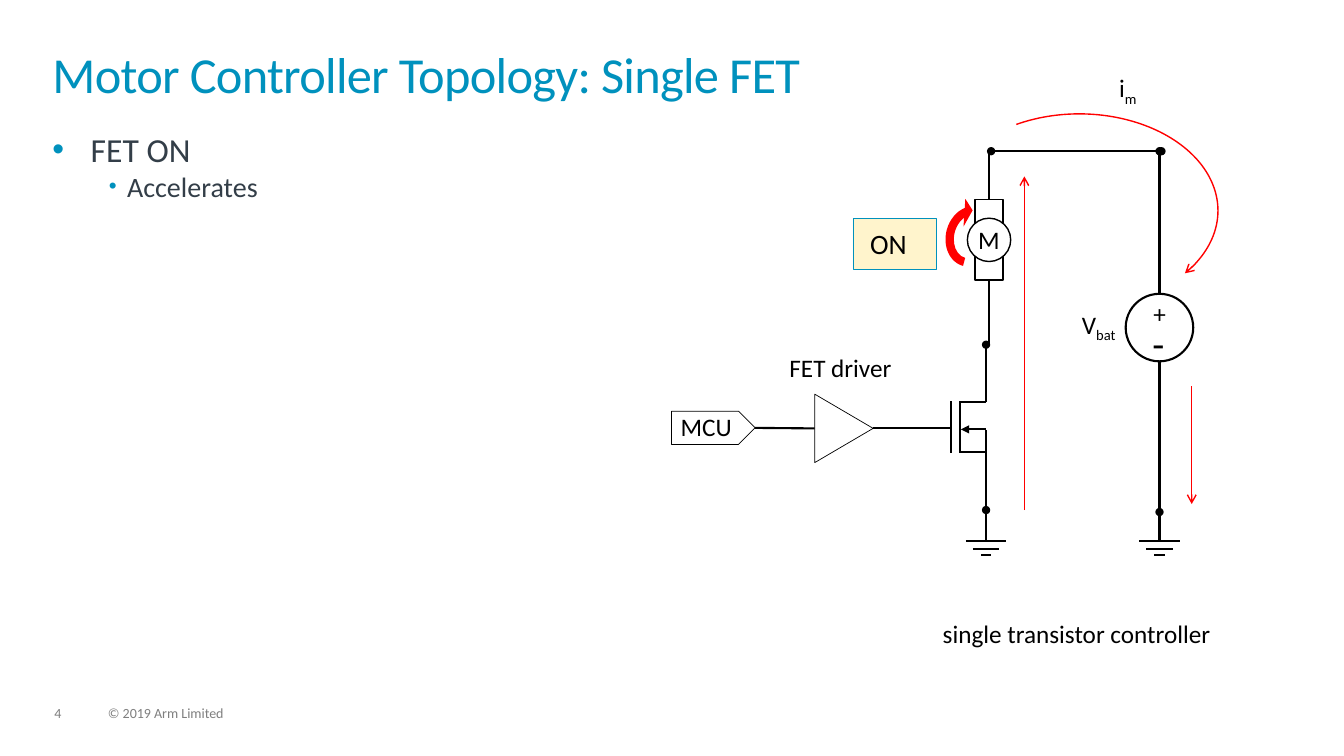
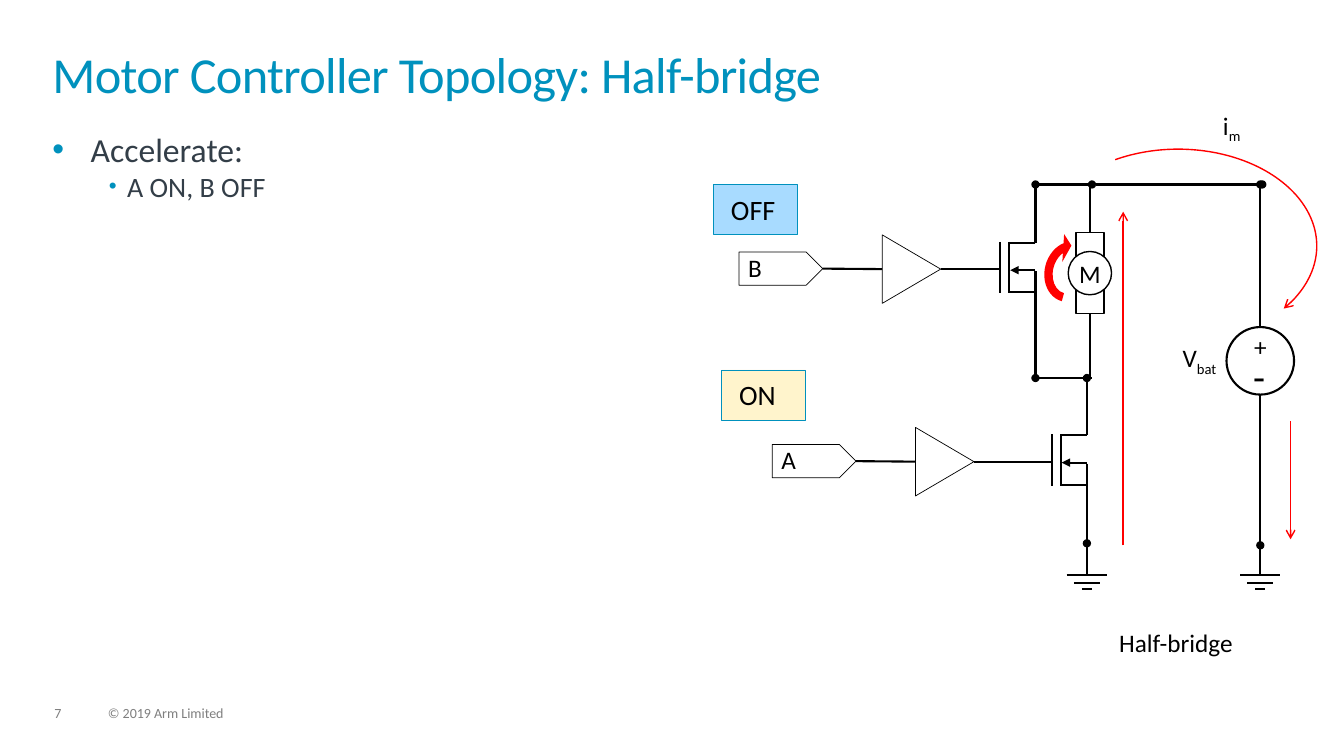
from lxml.etree import SubElement
from pptx import Presentation
from pptx.dml.color import RGBColor
from pptx.enum.shapes import MSO_CONNECTOR, MSO_SHAPE
from pptx.enum.text import MSO_ANCHOR, MSO_AUTO_SIZE, PP_ALIGN
from pptx.oxml.ns import qn
from pptx.util import Inches, Pt

COLORS = {
    "title": "0091BD",
    "body": "333E48",
    "footer": "7F7F7F",
    "ink": "000000",
    "paper": "FFFFFF",
    "current": "FF0000",
    "on": "FFF4CC",
    "off": "A8DBFF",
}
FONT = "Calibri"
COPYRIGHT = "© 2019 Arm Limited"
TITLE_AND_CONTENT = 1
# level: text size, left margin, hanging indent, bullet size in percent
BULLETS = {0: (24, 0.38, 0.38, 100), 1: (20, 0.74, 0.18, 80)}


def rgb(name):
    return RGBColor.from_string(COLORS[name])


def place(shape, left, top, width, height):
    shape.left, shape.top = Inches(left), Inches(top)
    shape.width, shape.height = Inches(width), Inches(height)


def prepare_frame(shape, anchor=MSO_ANCHOR.TOP, inset_left=0, inset_top=0):
    frame = shape.text_frame
    frame.word_wrap = True
    frame.auto_size = MSO_AUTO_SIZE.NONE
    frame.vertical_anchor = anchor
    frame.margin_left, frame.margin_top = Inches(inset_left), Inches(inset_top)
    frame.margin_right = frame.margin_bottom = 0
    return frame


def write(paragraph, words, size=18, color="ink", align=PP_ALIGN.LEFT,
          line_spacing=1.0, tracking=None, subscript=None):
    paragraph.alignment = align
    paragraph.line_spacing = line_spacing
    paragraph.space_before = Pt(0)
    for part in filter(None, (words, subscript)):
        run = paragraph.add_run()
        run.text = part
        run.font.name = FONT
        run.font.size = Pt(size)
        run.font.color.rgb = rgb(color)
        properties = run.font._element
        if tracking is not None:
            properties.set("spc", str(int(tracking * 100)))
        if part is subscript:
            properties.set("baseline", "-25000")


def label(slide, words, left, top, width=0.5, height=0.3, **style):
    box = slide.shapes.add_textbox(0, 0, 0, 0)
    place(box, left, top, width, height)
    write(prepare_frame(box).paragraphs[0], words, **style)


def add_bullet(paragraph, level):
    _, margin, hanging, percent = BULLETS[level]
    properties = paragraph._p.get_or_add_pPr()
    properties.set("marL", str(Inches(margin)))
    properties.set("indent", str(-Inches(hanging)))
    tint = SubElement(properties, qn("a:buClr"))
    SubElement(tint, qn("a:srgbClr"), val=COLORS["title"])
    SubElement(properties, qn("a:buSzPct"), val=str(percent * 1000))
    SubElement(properties, qn("a:buFont"), typeface="Arial")
    SubElement(properties, qn("a:buChar"), char="•")


def add_slide(deck, title, points, number):
    slide = deck.slides.add_slide(deck.slide_layouts[TITLE_AND_CONTENT])
    heading, body = slide.shapes.title, slide.placeholders[1]
    place(heading, 0.52, 0.52, 12.28, 0.72)
    write(prepare_frame(heading).paragraphs[0], title, size=36, color="title",
          line_spacing=0.85, tracking=-0.5)
    place(body, 0.52, 1.28, 12.28, 4.47)
    frame = prepare_frame(body)
    for level, point in enumerate(points):
        paragraph = frame.add_paragraph() if level else frame.paragraphs[0]
        paragraph.level = level
        add_bullet(paragraph, level)
        write(paragraph, point, size=BULLETS[level][0], color="body")
    for words, left, width in ((str(number), 0.54, 0.34), (COPYRIGHT, 1.07, 1.71)):
        label(slide, words, left, 7.01, width, 0.15, size=10, color="footer",
              line_spacing=0.9)
    return slide


def style_line(line, color, weight, head=None, tail=None):
    line.color.rgb = rgb(color)
    line.width = Pt(weight)
    for tag, kind in (("a:headEnd", head), ("a:tailEnd", tail)):
        if kind:
            SubElement(line._get_or_add_ln(), qn(tag), type=kind)


def wire(slide, start, end, color="ink", weight=1.5, head=None, tail=None):
    connector = slide.shapes.add_connector(
        MSO_CONNECTOR.STRAIGHT, *(Inches(value) for value in (*start, *end)))
    style_line(connector.line, color, weight, head, tail)
    SubElement(connector._element.spPr, qn("a:effectLst"))
    return connector


def outline(slide, kind, left, top, width, height, fill=None, line="ink",
            weight=1.0, tail=None, rotation=0, adjustments=()):
    shape = slide.shapes.add_shape(kind, 0, 0, 0, 0)
    place(shape, left, top, width, height)
    shape.rotation = rotation
    shape.shadow.inherit = False
    for index, value in enumerate(adjustments):
        shape.adjustments[index] = value
    if fill:
        shape.fill.solid()
        shape.fill.fore_color.rgb = rgb(fill)
    else:
        shape.fill.background()
    if line:
        style_line(shape.line, line, weight, tail=tail)
    else:
        shape.line.fill.background()
    return shape


def state_badge(slide, state, left, top):
    badge = outline(slide, MSO_SHAPE.RECTANGLE, left, top, 0.83, 0.5,
                    fill=state.lower(), line="title", weight=0.5)
    frame = prepare_frame(badge, inset_left=0.17, inset_top=0.08)
    write(frame.paragraphs[0], state, size=20)


def motor(slide, x, y, rail_y, junction_y):
    """Motor centred on x, y, wired up to the rail and down to the junction."""
    brushes = [outline(slide, MSO_SHAPE.RECTANGLE, x - 0.14, top, 0.28, 0.3, fill="paper")
               for top in (y - 0.4, y + 0.1)]
    rotor = outline(slide, MSO_SHAPE.OVAL, x - 0.215, y - 0.215, 0.43, 0.43, fill="paper")
    write(prepare_frame(rotor, MSO_ANCHOR.MIDDLE).paragraphs[0], "M",
          align=PP_ALIGN.CENTER)
    wire(slide, (x, rail_y), (x, y - 0.4)).end_connect(brushes[0], 0)
    wire(slide, (x, y + 0.4), (x, junction_y)).begin_connect(brushes[1], 2)


def transistor(slide, x, y, drain_y, source_y):
    """FET with its drain and source on x and its gate at height y."""
    channel, gate = x - 0.26, x - 0.35
    wire(slide, (x, y + 0.02), (x, source_y), tail="oval")
    wire(slide, (x, y - 0.26), (x, drain_y), tail="oval")
    wire(slide, (x, y + 0.01), (channel + 0.01, y + 0.01), tail="triangle")
    for stub_y in (y - 0.26, y + 0.23):
        wire(slide, (x, stub_y), (channel, stub_y))
    for bar_x in (channel, gate):
        wire(slide, (bar_x, y - 0.27), (bar_x, y + 0.24))


def gate_drive(slide, signal, tip_x, gate_x, y):
    """Input tag and driver triangle whose tip is wired to the gate."""
    tag = outline(slide, MSO_SHAPE.PENTAGON, tip_x - 2, y - 0.17, 0.83, 0.33, weight=0.5)
    label(slide, signal, tip_x - 1.91, y - 0.17, 0.75)
    outline(slide, MSO_SHAPE.ISOSCELES_TRIANGLE, tip_x - 0.63, y - 0.29, 0.68, 0.58,
            weight=0.5, rotation=90)
    wire(slide, (tip_x - 1.17, y), (tip_x - 0.58, y)).begin_connect(tag, 3)
    wire(slide, (tip_x, y), (gate_x, y))


def ground(slide, x, y):
    wire(slide, (x, y), (x, y + 0.29))
    for half_width, drop in ((0.2, 0.29), (0.13, 0.37), (0.05, 0.43)):
        wire(slide, (x - half_width, y + drop), (x + half_width, y + drop))


def battery(slide, x, y, rail_y, ground_y):
    outline(slide, MSO_SHAPE.OVAL, x - 0.335, y - 0.335, 0.67, 0.67, weight=1.5)
    label(slide, "+", x - 0.06, y - 0.29)
    label(slide, "-", x - 0.07, y - 0.08, height=0.47, size=28)
    label(slide, "V", x - 0.77, y - 0.18, subscript="bat")
    wire(slide, (x, y - 0.34), (x, rail_y), tail="oval")
    wire(slide, (x, y + 0.33), (x, ground_y), tail="oval")
    ground(slide, x, ground_y)


def current_loop(slide, left, top, label_at):
    """Red arrows for the motor current and the sense of rotation."""
    label(slide, "i", *label_at, subscript="m")
    for x, start, end in ((0.83, 3.93, 0.62), (2.49, 2.7, 3.87)):
        wire(slide, (left + x, top + start), (left + x, top + end),
             color="current", weight=1, tail="arrow")
    outline(slide, MSO_SHAPE.ARC, left, top, 2.75, 1.92, line="current",
            tail="arrow", adjustments=(140.32, 18.41))
    outline(slide, MSO_SHAPE.CIRCULAR_ARROW, left - 0.1, top + 0.87, 0.8, 0.69,
            fill="current", line=None, rotation=285,
            adjustments=(0.12, 11.42, 197.79, 108, 0.2))


def low_side_circuit(slide, x, rail_y, signal):
    """Motor, low-side FET and battery; x is the FET, rail_y the top rail."""
    gate_y, junction_y, ground_y = rail_y + 2.75, rail_y + 1.92, rail_y + 3.58
    battery_x = x + 1.72
    motor(slide, x + 0.03, rail_y + 0.88, rail_y, junction_y)
    transistor(slide, x, gate_y, junction_y, ground_y - 0.02)
    gate_drive(slide, signal, x - 1.12, x - 0.35, gate_y)
    ground(slide, x, ground_y)
    wire(slide, (battery_x + 0.02, rail_y), (x + 0.05, rail_y), head="oval", tail="oval")
    battery(slide, battery_x, rail_y + 1.75, rail_y, ground_y)


def build_single_fet(deck):
    slide = add_slide(deck, "Motor Controller Topology: Single FET",
                      ("FET ON", "Accelerates"), 4)
    low_side_circuit(slide, 9.78, 1.5, "MCU")
    label(slide, "FET driver", 7.83, 3.5, 1.67)
    state_badge(slide, "ON", 8.46, 2.17)
    current_loop(slide, 9.33, 1.13, label_at=(11.1, 0.72))
    label(slide, "single transistor controller", 9.35, 6.13, 3.05)


def build_half_bridge(deck):
    slide = add_slide(deck, "Motor Controller Topology: Half-bridge",
                      ("Accelerate:", "A ON, B OFF"), 7)
    rail_y, junction_y, high_side_x = 1.83, 3.75, 10.27
    low_side_circuit(slide, 10.78, rail_y, "A")
    transistor(slide, high_side_x, 2.67, rail_y, junction_y)
    gate_drive(slide, "B", 9.33, high_side_x - 0.35, 2.67)
    for y in (rail_y, junction_y):
        wire(slide, (high_side_x, y), (10.83, y))
    state_badge(slide, "ON", 7.16, 3.67)
    state_badge(slide, "OFF", 7.08, 1.83)
    current_loop(slide, 10.31, 1.48, label_at=(12.13, 1.09))
    label(slide, "Half-bridge", 11.1, 6.22, 1.55)


def main():
    deck = Presentation()
    deck.slide_width, deck.slide_height = Inches(13.33), Inches(7.5)
    build_single_fet(deck)
    build_half_bridge(deck)
    deck.save("out.pptx")


if __name__ == "__main__":
    main()
